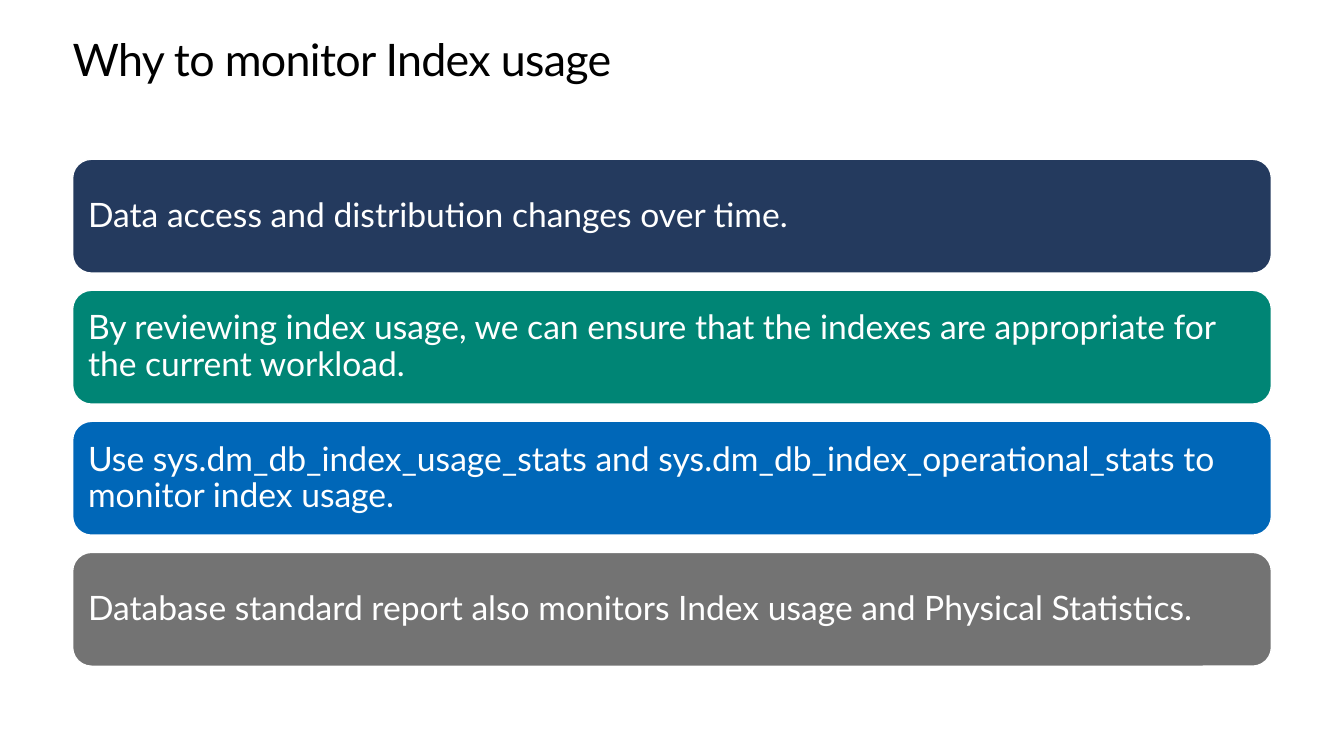
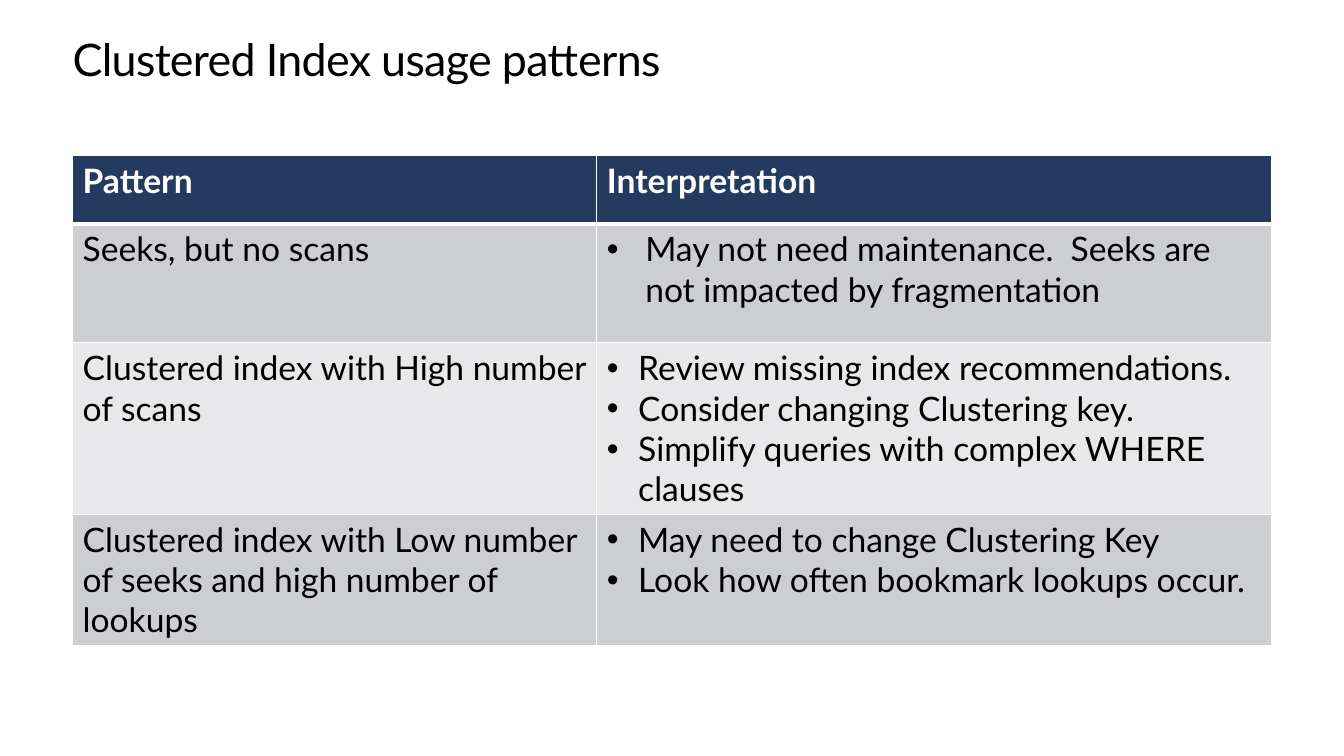
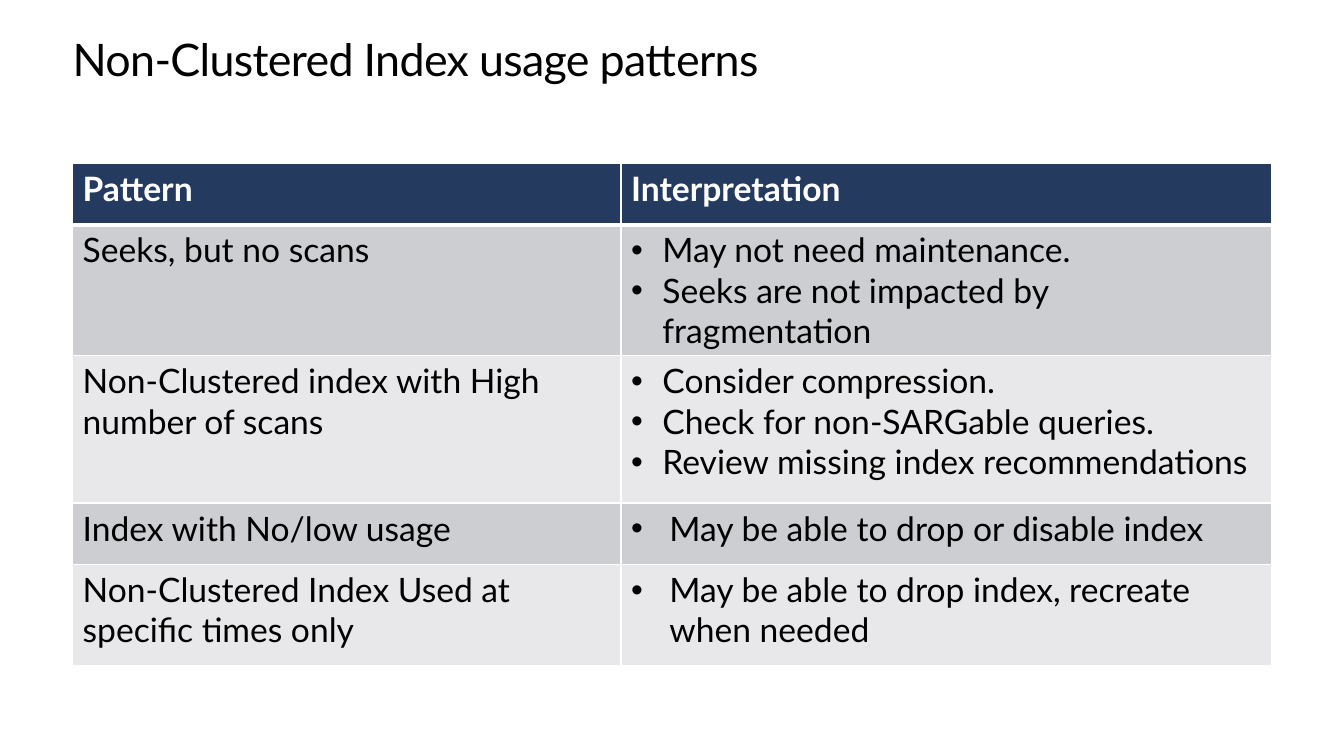
from lxml.etree import SubElement
from pptx import Presentation
from pptx.dml.color import RGBColor
from pptx.enum.shapes import MSO_SHAPE as Shape
from pptx.enum.text import MSO_ANCHOR as Anchor, PP_ALIGN as Align
from pptx.oxml.ns import qn
from pptx.util import Inches, Pt

# Content
REASONS_TITLE = "Why to monitor Index usage"
REASONS = [
    ("Data access and distribution changes over time.", "243A5E"),
    ("By reviewing index usage, we can ensure that the indexes are appropriate "
     "for the current workload.", "008575"),
    ("Use sys.dm_db_index_usage_stats and sys.dm_db_index_operational_stats "
     "to monitor index usage.", "0067B8"),
    ("Database standard report also monitors Index usage and Physical "
     "Statistics.", "737373"),
]

# Each pattern row: height, pattern, bullet indent, interpretations
HEADINGS = ("Pattern", "Interpretation")
PATTERN_SLIDES = [
    {"title": "Clustered Index usage patterns",
     "top": 1.54, "columns": (5.2, 6.69), "heading_height": 0.68,
     "patterns": [
         (1.18, "Seeks, but no scans", 0.38,
          ["May not need maintenance.  Seeks are not impacted by fragmentation"]),
         (1.68, "Clustered index with High number of scans", 0.31,
          ["Review missing index recommendations.",
           "Consider changing Clustering key.",
           "Simplify queries with complex WHERE clauses"]),
         (1.29, "Clustered index with Low number of seeks and high number of "
          "lookups", 0.31,
          ["May need to change Clustering Key",
           "Look how often bookmark lookups occur."]),
     ]},
    {"title": "Non-Clustered Index usage patterns",
     "top": 1.62, "columns": (5.44, 6.45), "heading_height": 0.61,
     "patterns": [
         (1.29, "Seeks, but no scans", 0.31,
          ["May not need maintenance.",
           "Seeks are not impacted by fragmentation"]),
         (1.46, "Non-Clustered index with High number of scans", 0.31,
          ["Consider compression.",
           "Check for non-SARGable queries.",
           "Review missing index recommendations"]),
         (0.61, "Index with No/low usage", 0.38,
          ["May be able to drop or disable index"]),
         (1.0, "Non-Clustered Index Used at specific times only", 0.38,
          ["May be able to drop index, recreate when needed"]),
     ]},
]

# Shared style
FONT = "Lato"
BLACK, WHITE, NAVY = "000000", "FFFFFF", "243A5E"
ROW_FILLS = ("CDCED2", "E8E8EA")
LEFT, WIDTH = 0.72, 11.89
CARD_TOP, CARD_HEIGHT, CARD_STEP = 1.58, 1.13, 1.3


def rgb(value):
    return RGBColor.from_string(value)


def style_text(frame, size, color, bold=False):
    for paragraph in frame.paragraphs:
        for run in paragraph.runs:
            run.font.name = FONT
            run.font.size = Pt(size)
            run.font.bold = bold
            run.font.color.rgb = rgb(color)


def add_panel(slide, shape, top, height, fill, text, inset, anchor):
    """Add a full-width filled shape with left-aligned text."""
    panel = slide.shapes.add_shape(
        shape, Inches(LEFT), Inches(top), Inches(WIDTH), Inches(height))
    panel.shadow.inherit = False
    panel.fill.solid()
    panel.fill.fore_color.rgb = rgb(fill)
    frame = panel.text_frame
    frame.word_wrap = True
    frame.vertical_anchor = anchor
    frame.margin_left = frame.margin_right = Inches(inset)
    frame.margin_top = frame.margin_bottom = Inches(inset)
    frame.text = text
    frame.paragraphs[0].alignment = Align.LEFT
    return panel


def new_slide(deck, title):
    slide = deck.slides.add_slide(deck.slide_layouts[6])
    heading = add_panel(slide, Shape.RECTANGLE, 0.35, 0.5, WHITE, title,
                        0, Anchor.TOP)
    heading.line.fill.background()
    paragraph = heading.text_frame.paragraphs[0]
    paragraph.line_spacing = Pt(36.2)
    style_text(heading.text_frame, 32, BLACK)
    paragraph.runs[0].font._element.set("spc", "-50")
    return slide


def add_card(slide, top, reason, color):
    card = add_panel(slide, Shape.ROUNDED_RECTANGLE, top, CARD_HEIGHT, color,
                     reason, 0.1, Anchor.MIDDLE)
    card.line.color.rgb = rgb(WHITE)
    card.line.width = Pt(1)
    card.text_frame.paragraphs[0].line_spacing = 0.9
    style_text(card.text_frame, 24, WHITE)


def set_borders(cell, top=1, bottom=1):
    properties = cell._tc.get_or_add_tcPr()
    for side, width in (("L", 1), ("R", 1), ("T", top), ("B", bottom)):
        line = SubElement(properties, qn(f"a:ln{side}"), w=str(Pt(width)))
        fill = SubElement(line, qn("a:solidFill"))
        SubElement(fill, qn("a:srgbClr"), val=WHITE)


def set_bullets(frame, indent):
    for paragraph in frame.paragraphs:
        properties = paragraph._p.get_or_add_pPr()
        properties.set("marL", str(Inches(indent)))
        properties.set("indent", str(-Inches(indent)))
        SubElement(properties, qn("a:buFont"), typeface="Arial")
        SubElement(properties, qn("a:buChar"), char="•")


def fill_cell(cell, lines, fill, color, bold=False, top=1, bottom=1):
    set_borders(cell, top, bottom)
    cell.fill.solid()
    cell.fill.fore_color.rgb = rgb(fill)
    cell.text_frame.text = "\n".join(lines)
    style_text(cell.text_frame, 24, color, bold)


def add_pattern_table(slide, top, columns, heading_height, patterns):
    heights = [heading_height] + [pattern[0] for pattern in patterns]
    table = slide.shapes.add_table(
        len(heights), len(columns), Inches(LEFT), Inches(top),
        Inches(WIDTH), Inches(sum(heights))).table
    for column, width in zip(table.columns, columns):
        column.width = Inches(width)
    for row, height in zip(table.rows, heights):
        row.height = Inches(height)

    # Heading row, set off by a thicker rule
    for column, heading in enumerate(HEADINGS):
        fill_cell(table.cell(0, column), [heading], NAVY, WHITE,
                  bold=True, bottom=3)

    # Pattern rows in alternating greys
    for row, (_, pattern, indent, meanings) in enumerate(patterns, 1):
        fill = ROW_FILLS[(row - 1) % 2]
        rule = 3 if row == 1 else 1
        for column, lines in enumerate(([pattern], meanings)):
            fill_cell(table.cell(row, column), lines, fill, BLACK, top=rule)
        set_bullets(table.cell(row, 1).text_frame, indent)


def main():
    deck = Presentation()
    deck.slide_width, deck.slide_height = Inches(13.33), Inches(7.5)

    # Reasons as stacked cards
    slide = new_slide(deck, REASONS_TITLE)
    for index, (reason, color) in enumerate(REASONS):
        add_card(slide, CARD_TOP + index * CARD_STEP, reason, color)

    # Usage pattern tables
    for content in PATTERN_SLIDES:
        slide = new_slide(deck, content["title"])
        add_pattern_table(slide, content["top"], content["columns"],
                          content["heading_height"], content["patterns"])

    deck.save("out.pptx")


if __name__ == "__main__":
    main()
